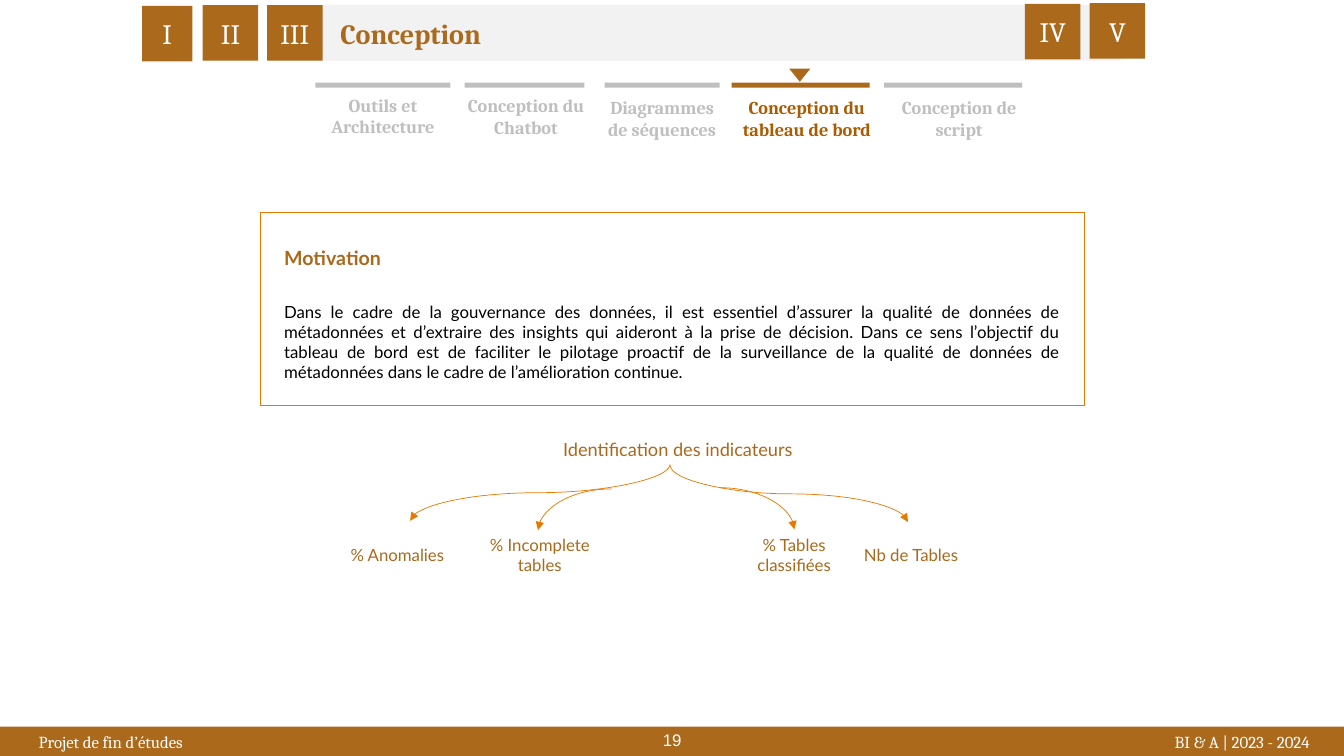
from dataclasses import dataclass

from lxml.etree import SubElement
from pptx import Presentation
from pptx.dml.color import RGBColor
from pptx.enum.dml import MSO_LINE
from pptx.enum.shapes import MSO_CONNECTOR, MSO_SHAPE
from pptx.enum.text import MSO_ANCHOR, PP_ALIGN
from pptx.oxml.ns import qn
from pptx.shapes.autoshape import Shape
from pptx.slide import Slide
from pptx.text.text import _Paragraph as Paragraph
from pptx.util import Cm, Pt

COLOURS = {
    "brown": "AB691C",
    "active": "AC5B00",
    "orange": "E67900",
    "grey": "BFBFBF",
    "band": "F2F2F2",
    "white": "FFFFFF",
    "black": "000000",
}
MOTIVATION = (
    "Dans le cadre de la gouvernance des données, il est essentiel d’assurer la qualité "
    "de données de métadonnées et d’extraire des insights qui aideront à la prise de décision. "
    "Dans ce sens l’objectif du tableau de bord est de faciliter le pilotage proactif de la "
    "surveillance de la qualité de données de métadonnées dans le cadre de l’amélioration continue."
)


@dataclass(frozen=True)
class Area:
    left: float
    top: float
    width: float
    height: float


@dataclass(frozen=True)
class Style:
    size: float
    font: str
    colour: str
    bold: bool = False
    align: PP_ALIGN = PP_ALIGN.CENTER
    wrap: bool = True


@dataclass(frozen=True)
class Label:
    text: str
    area: Area
    style: Style


@dataclass(frozen=True)
class Chapter:
    numeral: str
    left: float
    top: float
    width: float = 1.4


@dataclass(frozen=True)
class Tab:
    text: str
    bar_left: float
    bar_width: float
    label: Area
    active: bool = False


@dataclass(frozen=True)
class Curve:
    begin: tuple[float, float]
    end: tuple[float, float]
    preset: str
    rotation: int = 0


FOOTER = Style(12, "Cambria", "white")
NUMERAL = Style(20, "Cambria", "white")
TITLE = Style(20, "Cambria", "brown", True, PP_ALIGN.LEFT)
PAGE_NUMBER = Style(12, "Arial", "white")
TAB = Style(13, "Cambria", "grey", True)
ACTIVE_TAB = Style(13, "Cambria", "active", True)
HEADING = Style(14, "Lato", "brown", True, PP_ALIGN.JUSTIFY)
BODY = Style(12, "Lato", "black", False, PP_ALIGN.JUSTIFY)
TOPIC = Style(13, "Lato", "brown", wrap=False)
INDICATOR = Style(12, "Lato", "brown", wrap=False)

CHAPTERS = [
    Chapter("I", 3.58, 0.15, 1.27),
    Chapter("II", 5.11, 0.13),
    Chapter("III", 6.73, 0.13),
    Chapter("IV", 25.83, 0.1),
    Chapter("V", 27.46, 0.08),
]
TABS = [
    Tab("Outils et\nArchitecture", 7.95, 3.4, Area(6.4, 2.24, 6.5, 1.37)),
    Tab("Conception du\nChatbot", 11.71, 3.02, Area(11.35, 2.26, 3.81, 1.37)),
    Tab("Diagrammes de séquences", 15.24, 2.9, Area(14.96, 2.31, 3.45, 1.37)),
    Tab("Conception du tableau de bord", 18.44, 3.48, Area(18.16, 2.31, 4.34, 1.37), True),
    Tab("Conception de script", 22.28, 3.48, Area(22, 2.31, 4.34, 1.37)),
]
LABELS = [
    Label("Projet de fin d’études", Area(0, 18.31, 5.59, 0.74), FOOTER),
    Label("BI & A | 2023 - 2024", Area(28.74, 18.31, 5.13, 0.74), FOOTER),
    Label("19", Area(13.13, 18.26, 7.62, 0.79), PAGE_NUMBER),
    Label("Conception", Area(8.33, 0.3, 11.48, 1.12), TITLE),
    Label("Identification des indicateurs", Area(13.89, 10.92, 6.38, 0.81), TOPIC),
    Label("% Anomalies", Area(8.53, 13.61, 2.97, 0.76), INDICATOR),
    Label("% Incomplete\ntables", Area(11.99, 13.34, 3.23, 1.27), INDICATOR),
    Label("% Tables\nclassifiées", Area(18.77, 13.34, 2.49, 1.27), INDICATOR),
    Label("Nb de Tables", Area(21.46, 13.61, 3, 0.76), INDICATOR),
]
CURVES = [
    Curve((20.6, 9.45), (19.18, 15.44), "curvedConnector3", 270),
    Curve((12.9, 9.14), (14.32, 15.69), "curvedConnector3", 90),
    Curve((15.42, 12.32), (13.56, 13.36), "curvedConnector2"),
    Curve((18.14, 12.29), (20.02, 13.34), "curvedConnector2"),
]


def rgb(name: str) -> RGBColor:
    return RGBColor.from_string(COLOURS[name])


def lengths(area: Area) -> tuple[Cm, Cm, Cm, Cm]:
    return Cm(area.left), Cm(area.top), Cm(area.width), Cm(area.height)


def style_paragraph(para: Paragraph, text: str, style: Style) -> None:
    para.text = text
    para.alignment = style.align
    para.font.size = Pt(style.size)
    para.font.name = style.font
    para.font.bold = style.bold
    para.font.color.rgb = rgb(style.colour)


def write(box: Shape, text: str, style: Style) -> None:
    frame = box.text_frame
    frame.word_wrap = style.wrap
    for index, line in enumerate(text.split("\n")):
        para = frame.add_paragraph() if index else frame.paragraphs[0]
        style_paragraph(para, line, style)


def add_label(page: Slide, label: Label) -> None:
    write(page.shapes.add_textbox(*lengths(label.area)), label.text, label.style)


def add_block(page: Slide, area: Area, colour: str, kind: MSO_SHAPE = MSO_SHAPE.RECTANGLE) -> Shape:
    block = page.shapes.add_shape(kind, *lengths(area))
    block.shadow.inherit = False
    block.fill.solid()
    block.fill.fore_color.rgb = rgb(colour)
    block.line.fill.background()
    return block


def add_chapter(page: Slide, chapter: Chapter) -> None:
    block = add_block(page, Area(chapter.left, chapter.top, chapter.width, 1.4), "brown")
    block.text_frame.vertical_anchor = MSO_ANCHOR.MIDDLE
    write(block, chapter.numeral, NUMERAL)


def add_tab(page: Slide, tab: Tab) -> None:
    add_block(page, Area(tab.bar_left, 2.08, tab.bar_width, 0.13), "brown" if tab.active else "grey")
    add_label(page, Label(tab.text, tab.label, ACTIVE_TAB if tab.active else TAB))


def add_motivation(page: Slide) -> None:
    box = add_block(page, Area(6.55, 5.36, 20.78, 4.85), "white", MSO_SHAPE.RIGHT_ARROW_CALLOUT)
    for index, value in enumerate((1, 0.5, 0, 1)):
        box.adjustments[index] = value
    box.fill.background()
    box.line.color.rgb = rgb("orange")
    box.line.width = Pt(0.25)
    box.line.dash_style = MSO_LINE.ROUND_DOT
    frame = box.text_frame
    frame.vertical_anchor = MSO_ANCHOR.TOP
    frame.margin_left = frame.margin_right = Cm(0.61)
    frame.margin_top = Cm(0.83)
    write(box, "Motivation", HEADING)
    frame.paragraphs[0].space_after = Pt(23)
    style_paragraph(frame.add_paragraph(), MOTIVATION, BODY)


def add_curve(page: Slide, curve: Curve) -> None:
    ends = [Cm(value) for value in curve.begin + curve.end]
    arrow = page.shapes.add_connector(MSO_CONNECTOR.CURVE, *ends)
    arrow.line.color.rgb = rgb("orange")
    arrow.line.width = Pt(0.5)
    properties = arrow._element.spPr
    properties.find(qn("a:prstGeom")).set("prst", curve.preset)
    properties.find(qn("a:xfrm")).set("rot", str(curve.rotation * 60000))
    SubElement(properties.find(qn("a:ln")), qn("a:tailEnd"), type="triangle")
    SubElement(properties, qn("a:effectLst"))


def main() -> None:
    deck = Presentation()
    deck.slide_width, deck.slide_height = Cm(33.87), Cm(19.05)
    page = deck.slides.add_slide(deck.slide_layouts[6])
    add_block(page, Area(0, 18.31, 33.87, 0.74), "brown")
    add_block(page, Area(6.83, 0.13, 21.41, 1.4), "band")
    for chapter in CHAPTERS:
        add_chapter(page, chapter)
    for tab in TABS:
        add_tab(page, tab)
    marker = add_block(page, Area(19.89, 1.73, 0.53, 0.33), "brown", MSO_SHAPE.ISOSCELES_TRIANGLE)
    marker.rotation = 180
    add_motivation(page)
    for label in LABELS:
        add_label(page, label)
    for curve in CURVES:
        add_curve(page, curve)
    deck.save("out.pptx")


if __name__ == "__main__":
    main()
